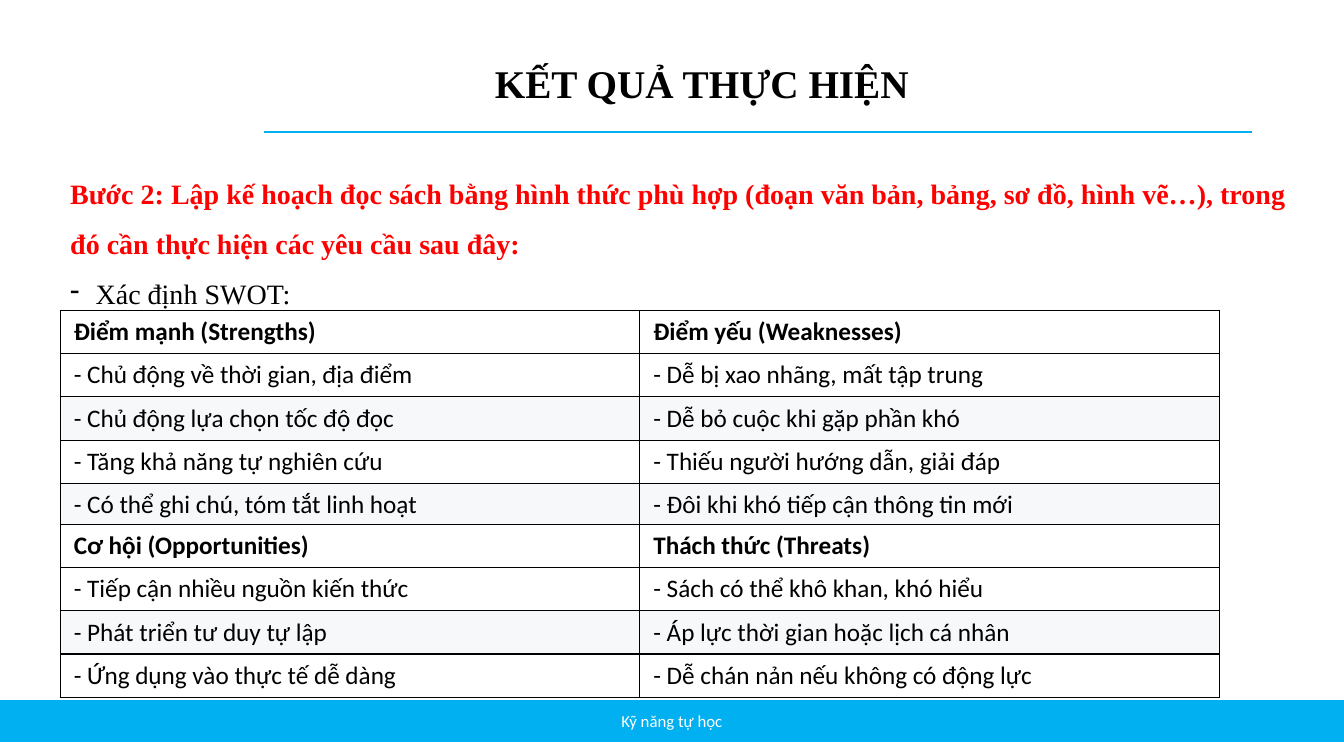
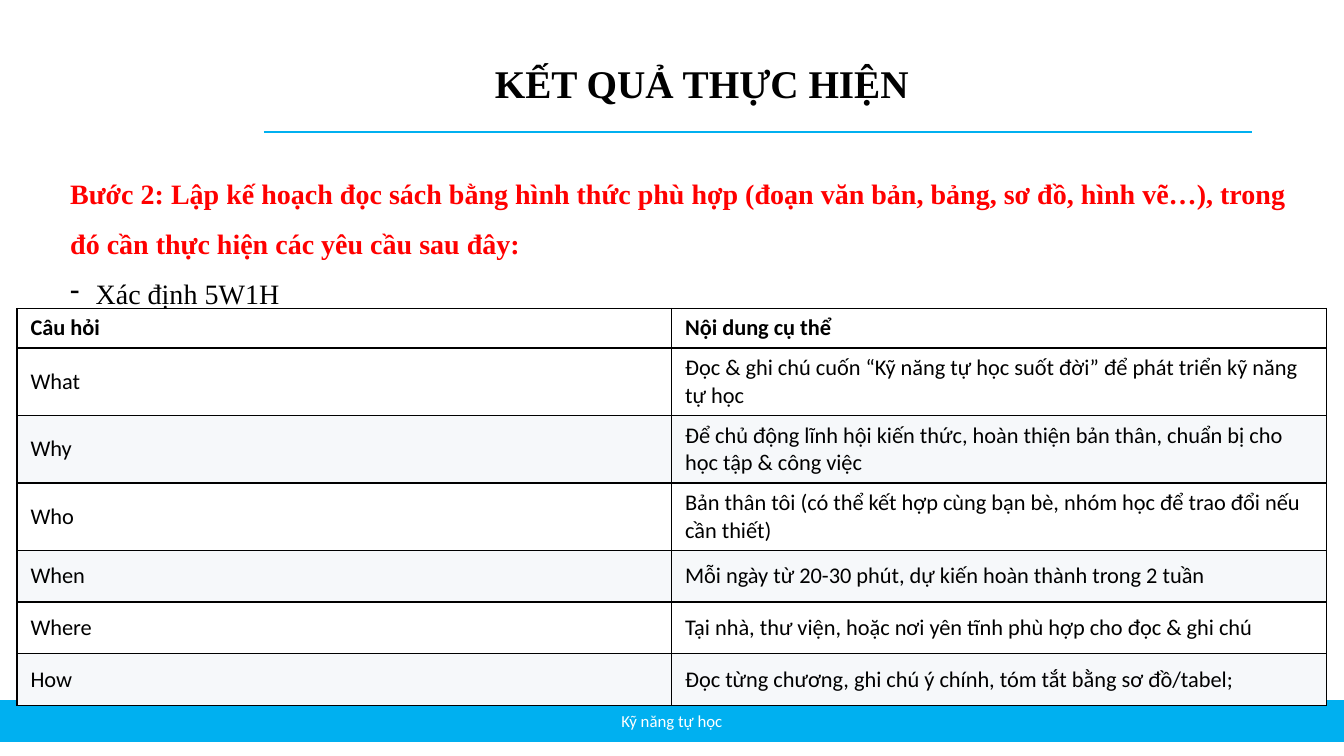
from lxml import etree
from pptx import Presentation
from pptx import util as u
from pptx.dml.color import RGBColor
from pptx.enum import shapes, text
from pptx.oxml import ns

COLORS = {"band": "00B0F0", "ink": "000000", "step": "FF0000",
          "paper": "FFFFFF", "stripe": "F6F8FA"}
FONTS = {
    "title": dict(name="Times New Roman", size=u.Pt(28), bold=True),
    "step": dict(name="Times New Roman", size=u.Pt(20), bold=True),
    "task": dict(name="Times New Roman", size=u.Pt(20), bold=False),
    "footer": dict(name="Calibri", size=u.Pt(12), bold=False),
    "swot": dict(name="Calibri", size=u.Pt(18)),
    "plan": dict(name="Calibri", size=u.Pt(16)),
}
TITLE = "KẾT QUẢ THỰC HIỆN"
FOOTER = "Kỹ năng tự học"
STEP = ("Bước 2: Lập kế hoạch đọc sách bằng hình thức phù hợp (đoạn văn bản, bảng, "
        "sơ đồ, hình vẽ…), trong đó cần thực hiện các yêu cầu sau đây:")

STRENGTHS_WEAKNESSES = [
    ("Điểm mạnh (Strengths)", "Điểm yếu (Weaknesses)"),
    ("- Chủ động về thời gian, địa điểm", "- Dễ bị xao nhãng, mất tập trung"),
    ("- Chủ động lựa chọn tốc độ đọc", "- Dễ bỏ cuộc khi gặp phần khó"),
    ("- Tăng khả năng tự nghiên cứu", "- Thiếu người hướng dẫn, giải đáp"),
    ("- Có thể ghi chú, tóm tắt linh hoạt", "- Đôi khi khó tiếp cận thông tin mới"),
]
OPPORTUNITIES_THREATS = [
    ("Cơ hội (Opportunities)", "Thách thức (Threats)"),
    ("- Tiếp cận nhiều nguồn kiến thức", "- Sách có thể khô khan, khó hiểu"),
    ("- Phát triển tư duy tự lập", "- Áp lực thời gian hoặc lịch cá nhân"),
    ("- Ứng dụng vào thực tế dễ dàng", "- Dễ chán nản nếu không có động lực"),
]
READING_PLAN = [
    ("Câu hỏi", "Nội dung cụ thể"),
    ("What", "Đọc & ghi chú cuốn “Kỹ năng tự học suốt đời” để phát triển kỹ năng tự học"),
    ("Why", "Để chủ động lĩnh hội kiến thức, hoàn thiện bản thân, chuẩn bị cho "
            "học tập & công việc"),
    ("Who", "Bản thân tôi (có thể kết hợp cùng bạn bè, nhóm học để trao đổi nếu cần thiết)"),
    ("When", "Mỗi ngày từ 20-30 phút, dự kiến hoàn thành trong 2 tuần"),
    ("Where", "Tại nhà, thư viện, hoặc nơi yên tĩnh phù hợp cho đọc & ghi chú"),
    ("How", "Đọc từng chương, ghi chú ý chính, tóm tắt bằng sơ đồ/tabel;"),
]


def rgb(color):
    return RGBColor.from_string(COLORS[color])


def assign(target, values):
    for key, value in values.items():
        setattr(target, key, value)


class Deck:
    def __init__(self):
        self.prs = Presentation()
        assign(self.prs, dict(slide_width=u.Cm(33.87), slide_height=u.Cm(19.05)))
        self.slide = None

    def add_words(self, paragraph, words, style, color="ink", **layout):
        run = paragraph.add_run()
        run.text = words
        assign(run.font, FONTS[style])
        run.font.color.rgb = rgb(color)
        assign(paragraph, layout)
        return run

    def new_slide(self, task):
        self.slide = self.prs.slides.add_slide(self.prs.slide_layouts[5])
        self.title()
        self.footer_band()
        self.title_rule()
        self.step_text(task)

    def title(self):
        heading = self.slide.shapes.title
        assign(heading, dict(left=u.Cm(4.45), top=u.Cm(1), width=u.Cm(26.47), height=u.Cm(2.3)))
        assign(heading.text_frame, dict(vertical_anchor=text.MSO_ANCHOR.MIDDLE,
                                        auto_size=text.MSO_AUTO_SIZE.NONE))
        self.add_words(heading.text_frame.paragraphs[0], TITLE, "title",
                       alignment=text.PP_ALIGN.CENTER, line_spacing=0.9)

    def footer_band(self):
        band = self.slide.shapes.add_shape(shapes.MSO_SHAPE.RECTANGLE, 0, u.Cm(17.65),
                                           self.prs.slide_width, u.Cm(1.02))
        band.shadow.inherit = False
        band.fill.solid()
        band.fill.fore_color.rgb = band.line.color.rgb = rgb("band")
        band.line.width = u.Pt(1)
        band.text_frame.vertical_anchor = text.MSO_ANCHOR.MIDDLE
        self.add_words(band.text_frame.paragraphs[0], FOOTER, "footer", "paper",
                       alignment=text.PP_ALIGN.CENTER)

    def title_rule(self):
        rule = self.slide.shapes.add_connector(shapes.MSO_CONNECTOR.STRAIGHT, u.Cm(6.65),
                                               u.Cm(3.32), u.Cm(31.55), u.Cm(3.32))
        rule.line.color.rgb = rgb("band")
        rule.line.width = u.Pt(1.5)
        etree.SubElement(rule._element.spPr, ns.qn("a:effectLst"))

    def step_text(self, task):
        frame = self.slide.shapes.add_textbox(u.Cm(1.52), u.Cm(3.89), u.Cm(31.55),
                                              u.Cm(13.28)).text_frame
        frame.word_wrap = True
        self.add_words(frame.paragraphs[0], STEP, "step", "step", line_spacing=1.5)
        item = frame.add_paragraph()
        self.add_words(item, task, "task", line_spacing=1.5)
        props = item._p.get_or_add_pPr()
        props.set("marL", str(u.Cm(0.64)))
        props.set("indent", str(-u.Cm(0.64)))
        etree.SubElement(props, ns.qn("a:buChar"), char="-")

    def table(self, rows, left, top, width, heights, style):
        """Draw a bordered table; heights holds one value in cm per row."""
        grid = self.slide.shapes.add_table(len(rows), len(rows[0]), u.Cm(left), u.Cm(top),
                                           u.Cm(width), u.Cm(sum(heights))).table
        assign(grid, dict(first_row=False, horz_banding=False))
        for r, (row, height) in enumerate(zip(rows, heights)):
            grid.rows[r].height = u.Cm(height)
            for c, words in enumerate(row):
                cell = grid.cell(r, c)
                assign(cell, dict(vertical_anchor=text.MSO_ANCHOR.MIDDLE,
                                  margin_left=u.Cm(0.34), margin_right=u.Cm(0.34),
                                  margin_top=u.Cm(0.15), margin_bottom=u.Cm(0.15)))
                run = self.add_words(cell.text_frame.paragraphs[0], words, style)
                run.font.bold = r == 0
                self.cell_borders(cell)
                cell.fill.solid()
                cell.fill.fore_color.rgb = rgb("stripe" if r and r % 2 == 0 else "paper")

    def cell_borders(self, cell):
        props = cell._tc.get_or_add_tcPr()
        for side in ("lnL", "lnR", "lnT", "lnB"):
            border = etree.SubElement(props, ns.qn("a:" + side), w=str(u.Pt(1)))
            fill = etree.SubElement(border, ns.qn("a:solidFill"))
            etree.SubElement(fill, ns.qn("a:srgbClr"), val=COLORS["ink"])


def main():
    deck = Deck()

    deck.new_slide("Xác định SWOT:")
    for rows, top in ((STRENGTHS_WEAKNESSES, 7.82), (OPPORTUNITIES_THREATS, 13.21)):
        deck.table(rows, 1.52, top, 29.21, [1.09] * len(rows), "swot")

    deck.new_slide("Xác định 5W1H")
    deck.table(READING_PLAN, 0.43, 7.77, 32.99, [1] + [1.7] * 3 + [1.3] * 3, "plan")

    deck.prs.save("out.pptx")


if __name__ == "__main__":
    main()
